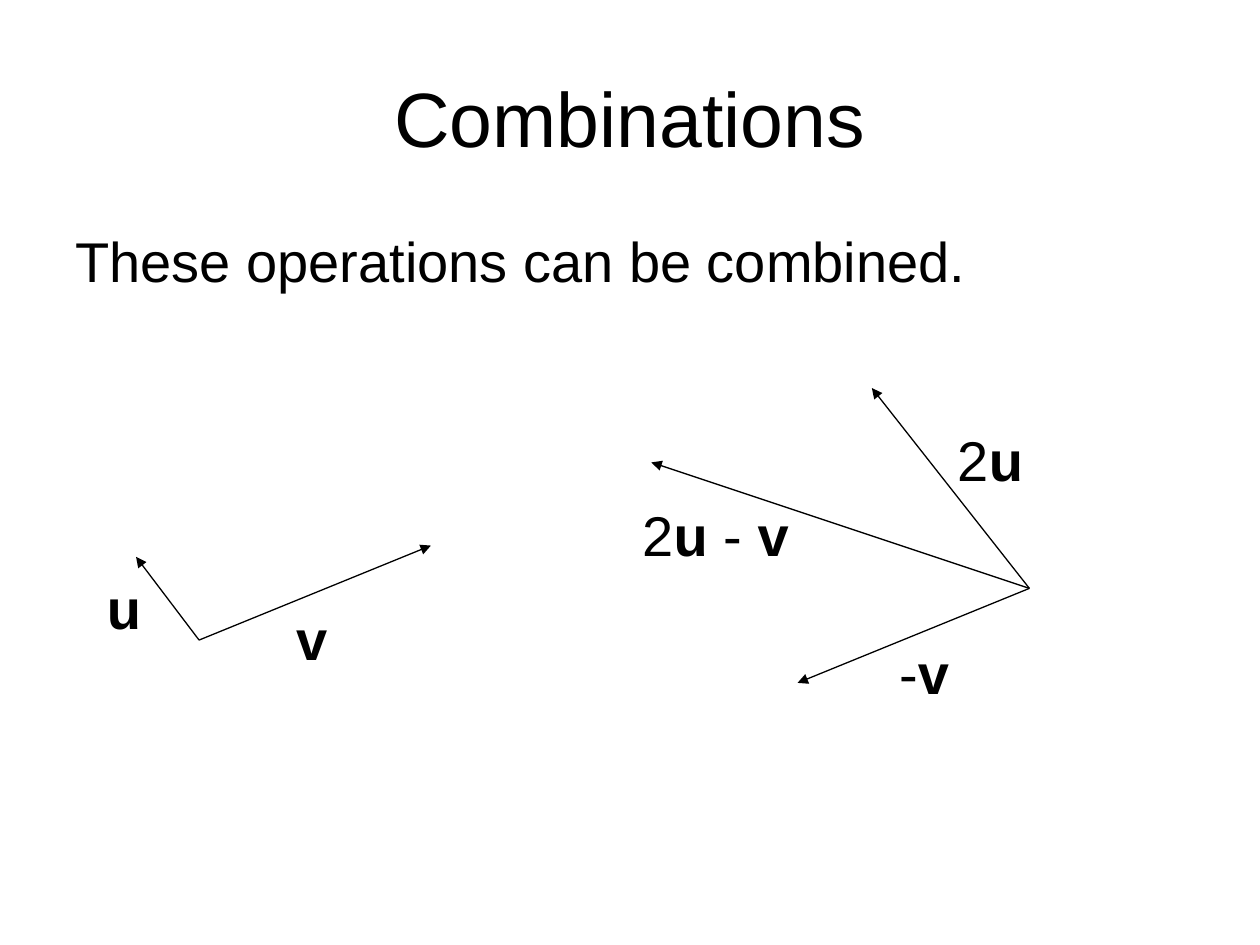
from itertools import groupby

from lxml.etree import SubElement
from pptx import Presentation
from pptx.dml.color import RGBColor
from pptx.enum.shapes import MSO_CONNECTOR
from pptx.enum.text import MSO_ANCHOR, MSO_AUTO_SIZE, PP_ALIGN
from pptx.oxml.ns import qn
from pptx.util import Inches, Pt

BLACK = RGBColor(0, 0, 0)
FONT = {"name": "Arial", "size": Pt(32), "bold": False}


def add_text(s, box, runs, wrap=True, align=PP_ALIGN.CENTER,
             anchor=MSO_ANCHOR.TOP, **font):
    """Add a text box whose runs are (text, format values) pairs."""
    tf = s.shapes.add_textbox(*map(Inches, box)).text_frame
    frame = {
        "word_wrap": wrap,
        "vertical_anchor": anchor,
        "auto_size": MSO_AUTO_SIZE.NONE if wrap else MSO_AUTO_SIZE.SHAPE_TO_FIT_TEXT,
    }
    for name, value in frame.items():
        setattr(tf, name, value)
    p = tf.paragraphs[0]
    p.alignment = align
    for text, style in runs:
        r = p.add_run()
        r.text = text
        for name, value in {**FONT, **font, **style}.items():
            setattr(r.font, name, value)
        r.font.color.rgb = BLACK


def add_title(s, box, text):
    """Add the centred slide title."""
    add_text(s, box, [(text, {})], anchor=MSO_ANCHOR.MIDDLE, size=Pt(44))


def add_body(s, box, text):
    """Add the left-aligned statement."""
    add_text(s, box, [(text, {})], align=PP_ALIGN.LEFT)


def add_vector(s, start, end):
    """Draw an arrow between two points given in inches."""
    line = s.shapes.add_connector(MSO_CONNECTOR.STRAIGHT,
                                  *map(Inches, (*start, *end)))
    line.line.color.rgb = BLACK
    line.line.width = Pt(0.75)
    SubElement(line.line._get_or_add_ln(), qn("a:tailEnd"), type="triangle")
    SubElement(line._element.spPr, qn("a:effectLst"))


def add_diagram(s, box, origin, tips, labels):
    """Draw vectors from a shared origin and their labels, bold for letters."""
    left, top = box[:2]
    start = left + origin[0], top + origin[1]
    for x, y in tips:
        add_vector(s, start, (left + x, top + y))
    for x, y, width, text in labels:
        runs = [("".join(part), {"bold": bold})
                for bold, part in groupby(text, str.isalpha)]
        add_text(s, (left + x, top + y, width, 0.64), runs, wrap=False)


def main():
    """Build the slide and save it."""
    prs = Presentation()
    prs.slide_width, prs.slide_height = Inches(10), Inches(7.5)
    s = prs.slides.add_slide(prs.slide_layouts[6])
    add_title(s, (0.5, 0.3, 9, 1.25), "Combinations")
    add_body(s, (0.5, 1.75, 9, 4.95), "These operations can be combined.")
    add_diagram(s, (0.75, 4.33, 2.67, 1.06), (0.83, 0.75),
                [(0.33, 0.09), (2.67, 0)],
                [(0, 0.17, 0.47, "u"), (1.5, 0.42, 0.45, "v")])
    add_diagram(s, (5, 3.08, 3.22, 2.58), (3.17, 1.59),
                [(1.92, 0), (1.33, 2.34), (0.17, 0.59)],
                [(2.5, 0.25, 0.72, "2u"), (2.02, 1.94, 0.63, "-v"),
                 (0, 0.84, 1.36, "2u - v")])
    prs.save("out.pptx")


if __name__ == "__main__":
    main()
